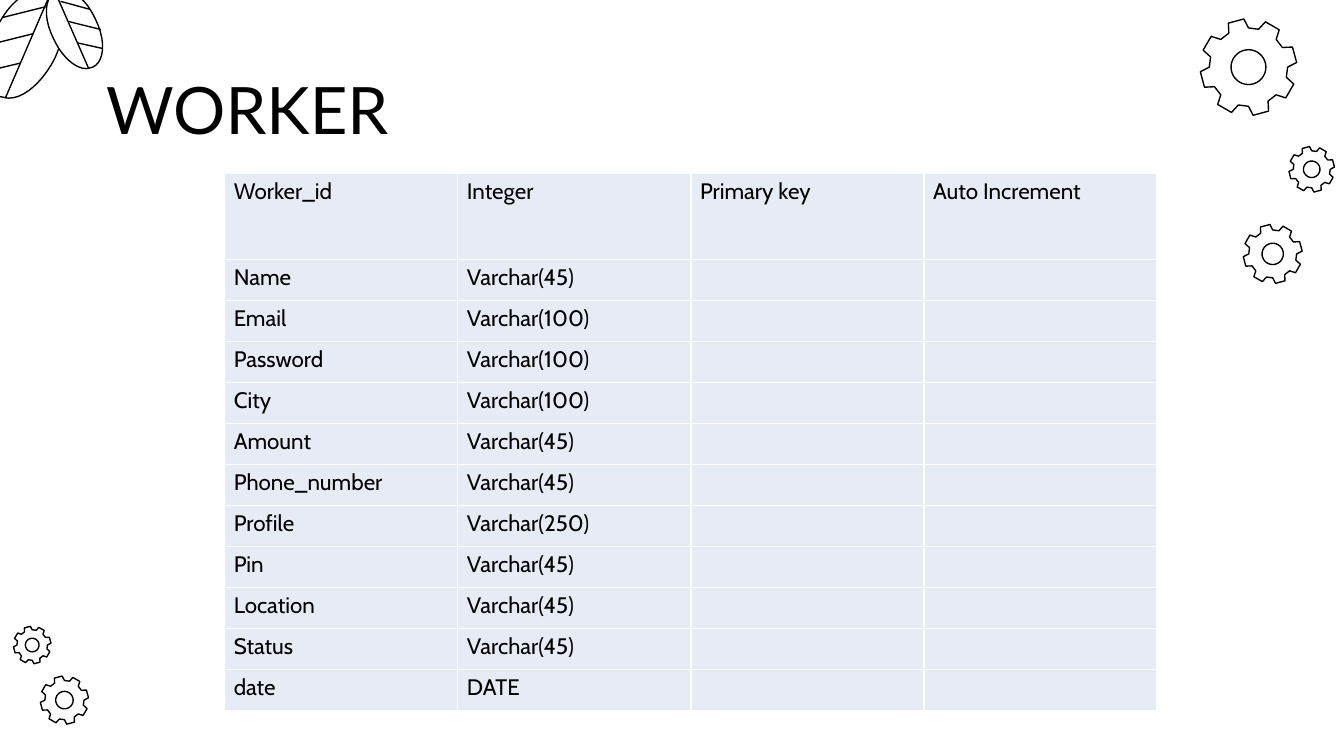
from math import cos, pi, sin

from pptx import Presentation
from pptx.dml.color import RGBColor
from pptx.enum.shapes import MSO_CONNECTOR
from pptx.enum.text import MSO_ANCHOR, PP_ALIGN
from pptx.oxml import parse_xml
from pptx.oxml.ns import nsdecls
from pptx.util import Inches, Pt

STRAIGHT = MSO_CONNECTOR.STRAIGHT
MIDDLE, TOP = MSO_ANCHOR.MIDDLE, MSO_ANCHOR.TOP
LEFT, JUSTIFY = PP_ALIGN.LEFT, PP_ALIGN.JUSTIFY
BLACK = RGBColor(0x00, 0x00, 0x00)
WHITE = RGBColor(0xFF, 0xFF, 0xFF)
PALE_BLUE = RGBColor(0xE7, 0xEB, 0xF5)

GEARS = [(9.47, 1.89, 0.22), (9.76, 1.26, 0.17), (9.29, 0.5, 0.36),
         (0.48, 5.21, 0.18), (0.24, 4.8, 0.14)]

LARGE_LEAF = [(0.07, 0.73), (0.04, 0.73), (0.02, 0.72), (0, 0.72),
              (-0.12, 0.66), (-0.13, 0.44), (-0.03, 0.22),
              (0.05, 0.04), (0.19, -0.08), (0.31, -0.08),
              (0.33, -0.08), (0.35, -0.07), (0.37, -0.06),
              (0.49, 0), (0.51, 0.21), (0.41, 0.43),
              (0.32, 0.61), (0.18, 0.73), (0.07, 0.73)]
LARGE_VEINS = [(0.34, 0.05, 0.02, 0.13), (0.25, 0.25, -0.07, 0.33),
               (0.15, 0.47, -0.1, 0.53), (0.04, 0.73, 0.38, -0.06)]
SMALL_LEAF = [(0.64, 0.51), (0.66, 0.51), (0.68, 0.5), (0.69, 0.5),
              (0.78, 0.46), (0.79, 0.3), (0.71, 0.14),
              (0.65, 0.01), (0.55, -0.08), (0.47, -0.08),
              (0.45, -0.08), (0.44, -0.07), (0.42, -0.07),
              (0.33, -0.02), (0.32, 0.13), (0.4, 0.29),
              (0.46, 0.42), (0.56, 0.51), (0.64, 0.51)]
SMALL_VEINS = [(0.45, 0.01, 0.67, 0.07), (0.51, 0.16, 0.75, 0.22),
               (0.58, 0.32, 0.76, 0.36), (0.66, 0.51, 0.41, -0.06)]

WORKER_FIELDS = [
    ("Worker_id", "Integer", "Primary key", "Auto Increment"),
    ("Name", "Varchar(45)"),
    ("Email", "Varchar(100)"),
    ("Password", "Varchar(100)"),
    ("City", "Varchar(100)"),
    ("Amount", "Varchar(45)"),
    ("Phone_number", "Varchar(45)"),
    ("Profile", "Varchar(250)"),
    ("Pin", "Varchar(45)"),
    ("Location", "Varchar(45)"),
    ("Status", "Varchar(45)"),
    ("date", "DATE"),
]


def write(frame, text, font="Cabin", size=12, align=JUSTIFY, spacing=1.0):
    paragraph = frame.paragraphs[0]
    paragraph.alignment = align
    paragraph.line_spacing = spacing
    paragraph.font.size = Pt(size)
    if text:
        run = paragraph.add_run()
        run.text = text
        run.font.name = font
        run.font.size = Pt(size)
        run.font.color.rgb = BLACK


def ring(center_x, center_y, polar_points):
    return [(center_x + radius * cos(angle * pi / 180),
             center_y + radius * sin(angle * pi / 180))
            for radius, angle in polar_points]


def smooth_outline(controls, steps=10):
    points = [controls[0]]
    for first in range(0, len(controls) - 1, 3):
        curve = controls[first:first + 4]
        for step in range(1, steps + 1):
            t = step / steps
            weights = ((1 - t) ** 3, 3 * t * (1 - t) ** 2, 3 * t * t * (1 - t), t ** 3)
            points.append(tuple(sum(weight * point[axis] for weight, point in zip(weights, curve))
                                for axis in (0, 1)))
    return points


class SlideBuilder:
    """Draws elements in one shared style on the current slide."""

    def __init__(self, slide, line_width=0.75):
        self.slide = slide
        self.line_width = Pt(line_width)

    def title(self, text, left, top, width, height):
        shape = self.slide.shapes.title
        shape.left, shape.top = Inches(left), Inches(top)
        shape.width, shape.height = Inches(width), Inches(height)
        frame = shape.text_frame
        frame.margin_left = frame.margin_right = frame.margin_top = frame.margin_bottom = 0
        frame.vertical_anchor = MIDDLE
        write(frame, text, font="Lato", size=35, align=LEFT)

    def outline(self, contours, fill=None):
        contours = [[(Inches(x), Inches(y)) for x, y in contour] for contour in contours]
        builder = self.slide.shapes.build_freeform(*contours[0][0])
        builder.add_line_segments(contours[0][1:], close=True)
        for contour in contours[1:]:
            builder.move_to(*contour[0])
            builder.add_line_segments(contour[1:], close=True)
        shape = builder.convert_to_shape()
        shape.shadow.inherit = False
        if fill is None:
            shape.fill.background()
        else:
            shape.fill.solid()
            shape.fill.fore_color.rgb = fill
        shape.line.color.rgb = BLACK
        shape.line.width = self.line_width

    def gear(self, center_x, center_y, radius, teeth=8):
        base = 0.81 * radius
        profile = []
        for tooth in range(teeth):
            middle = 30 + tooth * 360 / teeth
            profile += [(base, middle - 15), (radius, middle - 9.5),
                        (radius, middle + 9.5), (base, middle + 15)]
        hole = [(0.36 * radius, angle) for angle in range(0, 360, 10)]
        self.outline([ring(center_x, center_y, profile), ring(center_x, center_y, hole)])

    def vein(self, *ends):
        connector = self.slide.shapes.add_connector(STRAIGHT, *map(Inches, ends))
        connector.line.color.rgb = BLACK
        connector.line.width = self.line_width
        connector._element.spPr.append(parse_xml(f"<a:effectLst {nsdecls('a')}/>"))

    def leaf(self, controls, veins):
        self.outline([smooth_outline(controls)], fill=WHITE)
        for ends in veins:
            self.vein(*ends)

    def cell(self, cell, text):
        cell.margin_left = cell.margin_right = Inches(0.07)
        cell.margin_top = cell.margin_bottom = 0
        cell.vertical_anchor = TOP
        write(cell.text_frame, text, spacing=1.15 if text else 1.0)
        properties = cell._tc.get_or_add_tcPr()
        for side in ("lnL", "lnR", "lnT", "lnB"):
            properties.append(parse_xml(
                f'<a:{side} {nsdecls("a")} w="{Pt(1)}"><a:solidFill>'
                f'<a:srgbClr val="{WHITE}"/></a:solidFill></a:{side}>'))
        cell.fill.solid()
        cell.fill.fore_color.rgb = PALE_BLUE

    def table(self, rows, left, top, width, height, first_height):
        column_count = len(rows[0])
        table = self.slide.shapes.add_table(
            len(rows), column_count, Inches(left), Inches(top), Inches(width), Inches(height)).table
        table.first_row = table.horz_banding = False
        for row_index, texts in enumerate(rows):
            row_height = (height - first_height) / (len(rows) - 1) if row_index else first_height
            table.rows[row_index].height = Inches(row_height)
            for column_index in range(column_count):
                text = texts[column_index] if column_index < len(texts) else ""
                self.cell(table.cell(row_index, column_index), text)


def main():
    presentation = Presentation()
    presentation.slide_width = Inches(10)
    presentation.slide_height = presentation.slide_width * 9 // 16
    slide = presentation.slides.add_slide(presentation.slide_layouts[5])
    builder = SlideBuilder(slide)
    for gear in GEARS:
        builder.gear(*gear)
    builder.leaf(LARGE_LEAF, LARGE_VEINS)
    builder.leaf(SMALL_LEAF, SMALL_VEINS)
    builder.title("WORKER", 0.79, 0.49, 8.43, 0.63)
    builder.table(WORKER_FIELDS, 1.67, 1.29, 6.94, 4, first_height=0.64)
    presentation.save("out.pptx")


if __name__ == "__main__":
    main()
